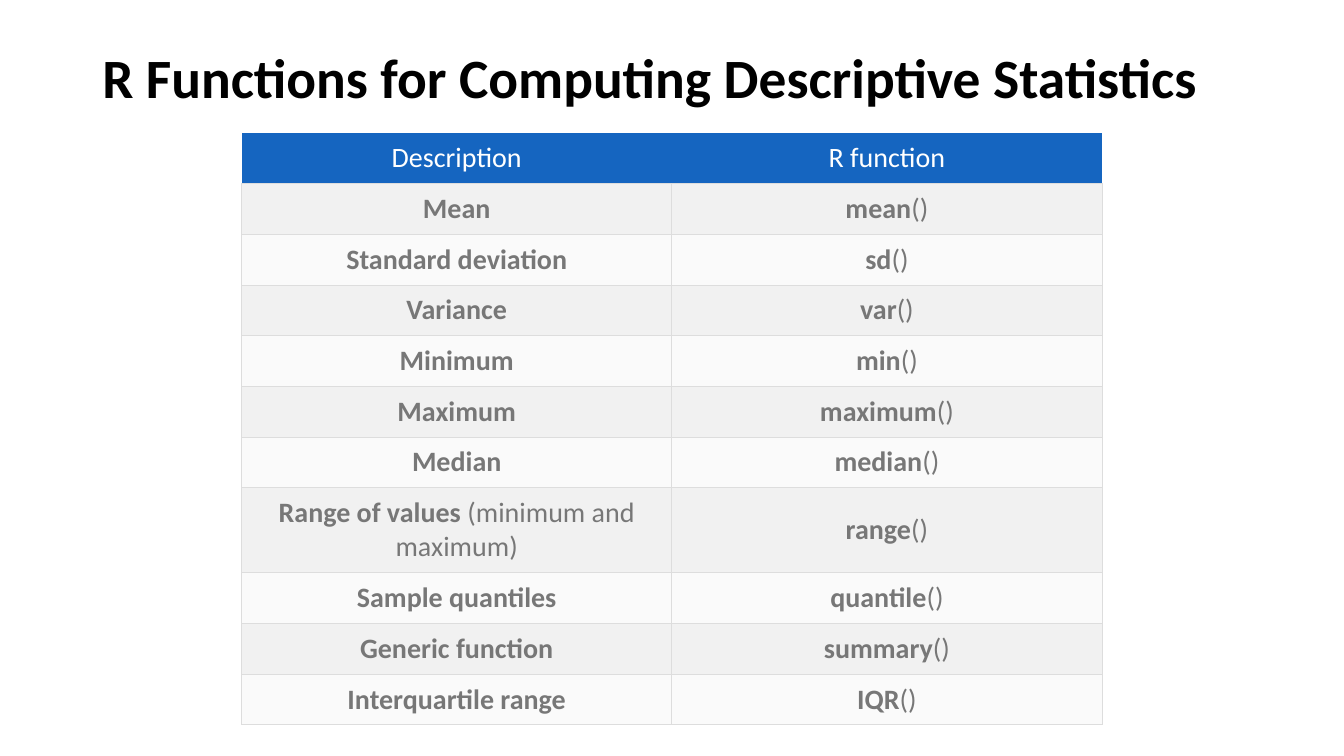
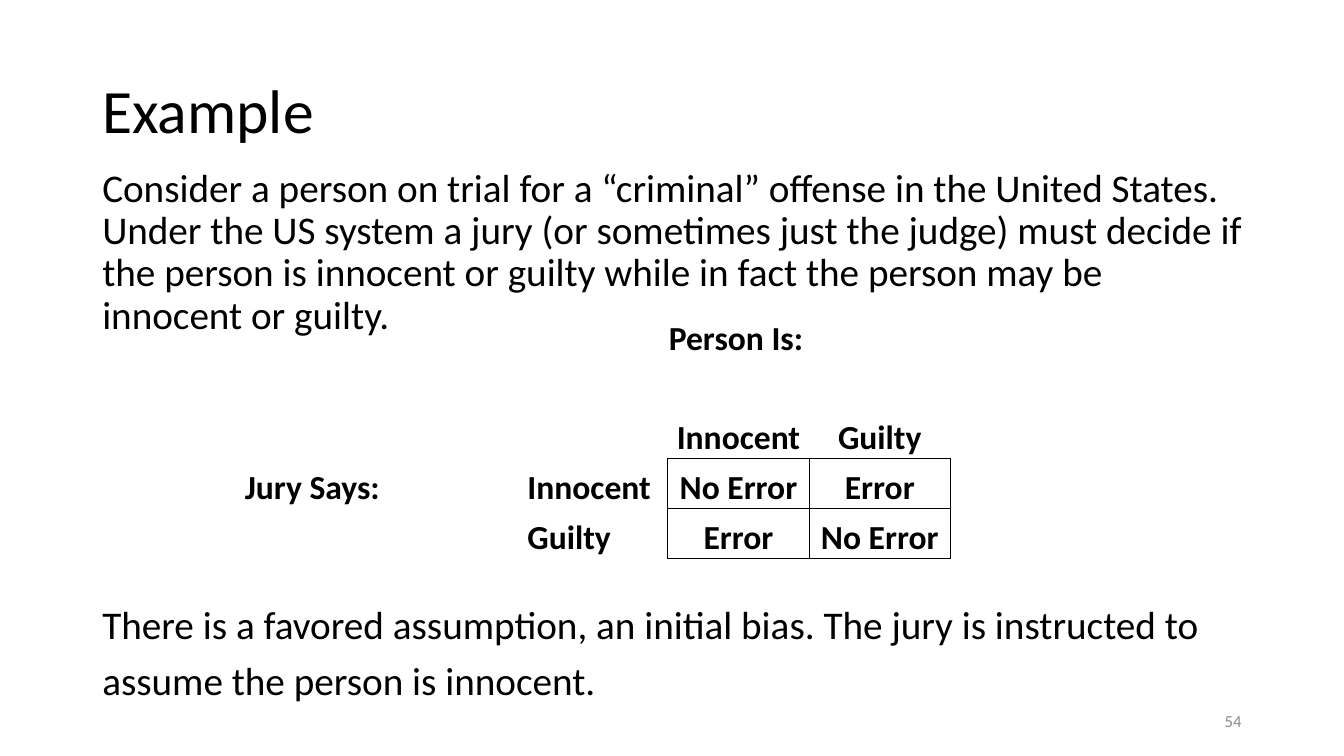
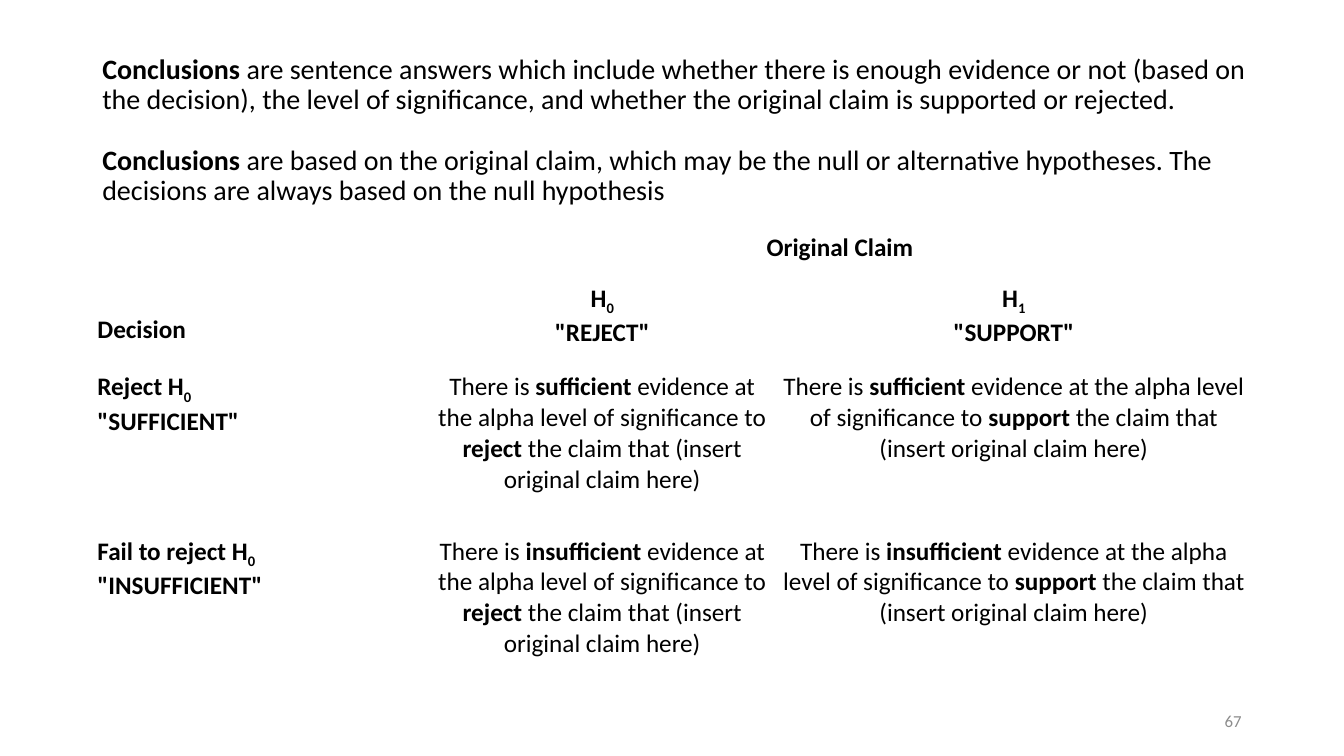
from lxml.etree import SubElement
from pptx import Presentation
from pptx.dml.color import RGBColor
from pptx.enum.text import MSO_ANCHOR as Anchor, PP_ALIGN as Align
from pptx.oxml.ns import qn
from pptx.util import Pt

FONT = "Calibri"
COLORS = {"text": "000000", "page": "8C8C8C", "white": "FFFFFF", "header": "1565C0",
          "cell": "777777", "odd": "F1F1F1", "even": "FAFAFA", "rule": "DDDDDD"}
NO_STYLE = "{2D5ABB26-0587-4C30-8999-92F81FD0307C}"
LEFT, CONTENT_WIDTH = 66, 828

FUNCTIONS = [
    ("*Mean*", "mean"), ("*Standard deviation*", "sd"), ("*Variance*", "var"),
    ("*Minimum*", "min"), ("*Maximum*", "maximum"), ("*Median*", "median"),
    ("*Range of values* (minimum and maximum)", "range"),
    ("*Sample quantiles*", "quantile"), ("*Generic function*", "summary"),
    ("*Interquartile range*", "IQR"),
]
VERDICTS = [
    ["", "", "", "*Person Is:*", ""],
    ["", "", "", "", ""],
    ["", "", "", "*Innocent*", "*Guilty*"],
    ["*Jury Says:*", "", "*Innocent*", "*No Error*", "*Error*"],
    ["", "", "*Guilty*", "*Error*", "*No Error*"],
]
CLAIM = ("There is *{}* evidence at the alpha level of significance to *{}* "
         "the claim that (insert original claim here)")
CLAIMS = [
    ["", "*Original Claim*", ""],
    ["*Decision*", '*H_0_*\n*"REJECT"*', '*H_1_*\n*"SUPPORT"*'],
    ['*Reject H_0_*\n*"SUFFICIENT"*',
     CLAIM.format("sufficient", "reject"), CLAIM.format("sufficient", "support")],
    ['*Fail to reject H_0_*\n*"INSUFFICIENT"*',
     CLAIM.format("insufficient", "reject"), CLAIM.format("insufficient", "support")],
]


def write(frame, text, size=18, color="text", align=Align.LEFT, spacing=1.0, gap=0):
    """Write one paragraph per line; *stars* mark bold and _underscores_ subscript."""
    frame.word_wrap = True
    for index, line in enumerate(text.split("\n")):
        paragraph = frame.add_paragraph() if index else frame.paragraphs[0]
        paragraph.alignment = align
        paragraph.line_spacing = spacing
        paragraph.space_before = Pt(gap if index else 0)
        for part_index, part in enumerate(line.split("*")):
            for piece_index, piece in enumerate(part.split("_")):
                if not piece:
                    continue
                run = paragraph.add_run()
                run.text = piece
                run.font.name = FONT
                run.font.size = Pt(size)
                run.font.bold = part_index % 2 == 1
                run.font.color.rgb = RGBColor.from_string(COLORS[color])
                if piece_index % 2:
                    run._r.get_or_add_rPr().set("baseline", "-25000")


def add_text(slide, box, text, anchor=Anchor.TOP, **style):
    frame = slide.shapes.add_textbox(*map(Pt, box)).text_frame
    frame.vertical_anchor = anchor
    write(frame, text, **style)


def add_title(slide, text, height, size, width=CONTENT_WIDTH, **style):
    add_text(slide, (LEFT, 28.5, width, height), text, Anchor.MIDDLE,
             size=size, spacing=0.9, **style)


def add_page_number(slide, number):
    add_text(slide, (678, 500.4, 216, 28.8), number, Anchor.MIDDLE,
             size=12, color="page", align=Align.RIGHT)


def add_grid(slide, left, top, widths, heights):
    """Add an unstyled table with the given column widths and row heights."""
    frame = slide.shapes.add_table(len(heights), len(widths), Pt(left), Pt(top),
                                   Pt(sum(widths)), Pt(sum(heights)))
    table = frame.table
    table.first_row = table.horz_banding = False
    table._tbl.tblPr.find(qn("a:tableStyleId")).text = NO_STYLE
    for column, width in zip(table.columns, widths):
        column.width = Pt(width)
    for row, height in zip(table.rows, heights):
        row.height = Pt(height)
    return table


def fill_cell(cell, text, margins, anchor=Anchor.TOP, fill=None, **style):
    cell.margin_left, cell.margin_top, cell.margin_right, cell.margin_bottom = map(Pt, margins)
    cell.vertical_anchor = anchor
    if fill:
        cell.fill.solid()
        cell.fill.fore_color.rgb = RGBColor.from_string(COLORS[fill])
    if text:
        write(cell.text_frame, text, **style)


def add_borders(cell, color, width, sides="LRTB"):
    """Draw the named sides; to be called before the cell is filled."""
    properties = cell._tc.get_or_add_tcPr()
    for side in sides:
        line = SubElement(properties, qn(f"a:ln{side}"), w=str(Pt(width)))
        solid = SubElement(line, qn("a:solidFill"))
        SubElement(solid, qn("a:srgbClr"), val=COLORS[color])


def add_function_table(slide, left, top):
    rows = [("Description", "R function")]
    rows += [(description, f"*{name}*()") for description, name in FUNCTIONS]
    heights = [60.8 if "(minimum" in row[0] else 36.2 for row in rows]
    table = add_grid(slide, left, top, [307.3] * 2, heights)
    for row_index, row in enumerate(rows):
        if row_index == 0:
            fill, color, sides = "header", "white", "B"
        else:
            fill, color, sides = "odd" if row_index % 2 else "even", "cell", "LRTB"
        for column_index, text in enumerate(row):
            cell = table.cell(row_index, column_index)
            add_borders(cell, "rule", 0.75, sides)
            fill_cell(cell, text, [5] * 4, Anchor.MIDDLE, fill,
                      size=20, color=color, align=Align.CENTER)


def add_verdict_table(slide, left, top):
    table = add_grid(slide, left, top, [100.95] * 5, [35.6] * 5)
    table.cell(0, 3).merge(table.cell(0, 4))
    for row_index, row in enumerate(VERDICTS):
        for column_index, text in enumerate(row):
            cell = table.cell(row_index, column_index)
            centered = row_index >= 2 and column_index >= 3
            if centered and row_index > 2:
                add_borders(cell, "text", 0.5)
            fill_cell(cell, text, (0.7, 0.7, 0.7, 0), Anchor.BOTTOM, size=24,
                      align=Align.CENTER if centered else Align.LEFT)


def add_claim_table(slide, left, top):
    table = add_grid(slide, left, top, [240, 248.4, 339.6], [36, 63.4, 117.2, 117.2])
    table.cell(0, 1).merge(table.cell(0, 2))
    for row_index, row in enumerate(CLAIMS):
        for column_index, text in enumerate(row):
            fill_cell(table.cell(row_index, column_index), text, [3.6] * 4, fill="white",
                      align=Align.CENTER if column_index else Align.LEFT)
    table.cell(1, 0).margin_top = Pt(25.6)  # level with the second heading line


def build_functions_slide(slide):
    add_title(slide, "*R Functions for Computing Descriptive Statistics*", 58, 39.6)
    add_function_table(slide, 172.6, 95)


def build_example_slide(slide):
    add_title(slide, "Example", 104.5, 44)
    body = {"size": 28, "spacing": 0.9, "gap": 10}
    add_text(slide, (LEFT, 116.6, CONTENT_WIDTH, 370),
             "Consider a person on trial for a “criminal” offense in the United States. "
             "Under the US system a jury (or sometimes just the judge) must decide if the "
             "person is innocent or guilty while in fact the person may be innocent or guilty.",
             **body)
    add_verdict_table(slide, 174.2, 221)
    add_text(slide, (LEFT, 429, CONTENT_WIDTH, 87),
             "There is a favored assumption, an initial bias. The jury is instructed to\n"
             "assume the person is innocent.", **body)
    add_page_number(slide, "54")


def build_conclusions_slide(slide):
    add_title(slide,
              "*Conclusions* are sentence answers which include whether there is enough "
              "evidence or not (based on the decision), the level of significance, and "
              "whether the original claim is supported or rejected.\n"
              "*Conclusions* are based on the original claim, which may be the null or "
              "alternative hypotheses. The decisions are always based on the null hypothesis",
              130, 20, width=856, gap=22)
    add_claim_table(slide, LEFT, 162.7)
    add_page_number(slide, "67")


def main():
    presentation = Presentation()
    presentation.slide_width, presentation.slide_height = Pt(960), Pt(540)
    for build in (build_functions_slide, build_example_slide, build_conclusions_slide):
        build(presentation.slides.add_slide(presentation.slide_layouts[6]))
    presentation.save("out.pptx")


if __name__ == "__main__":
    main()
